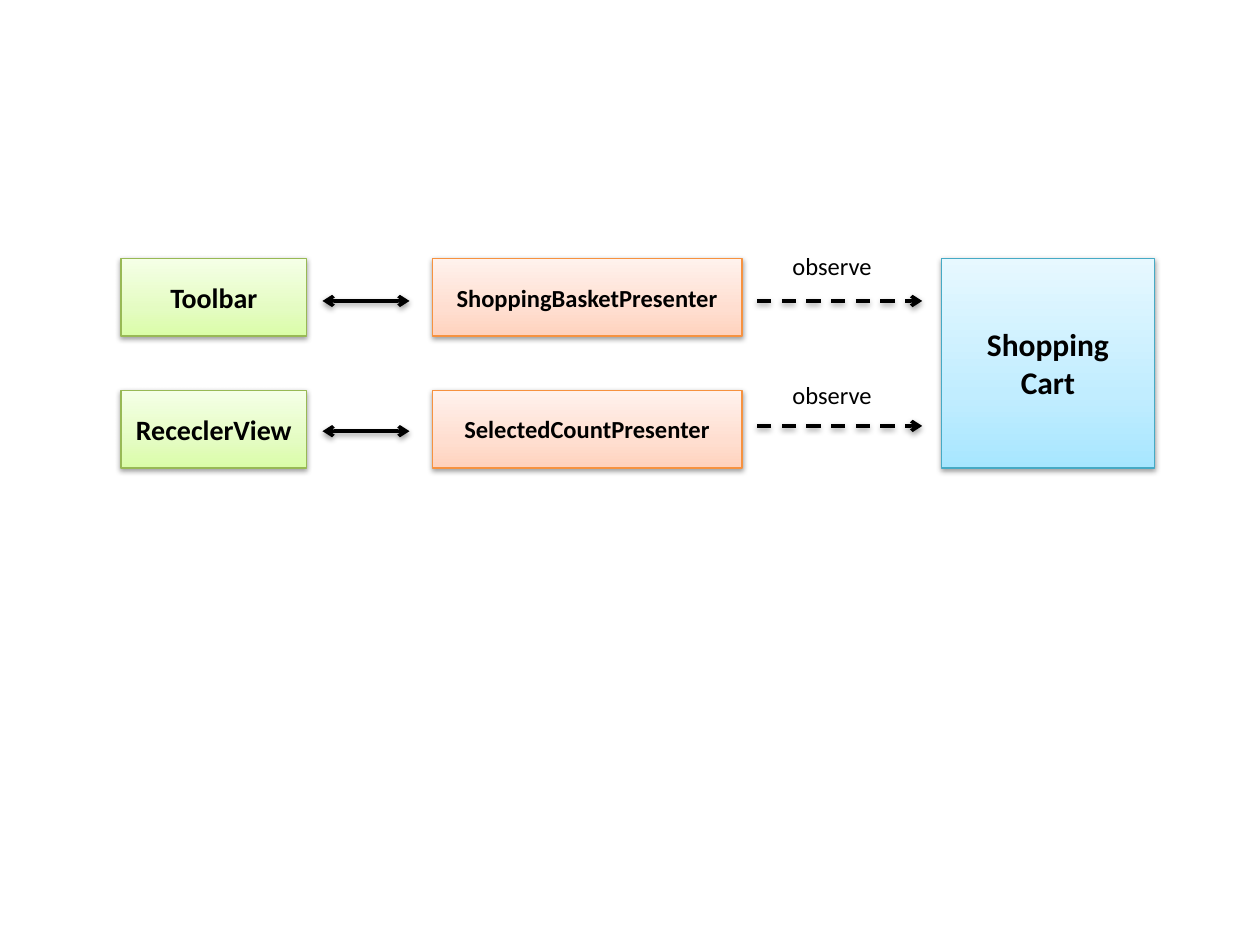
from lxml import etree
from pptx import Presentation
from pptx.dml.color import RGBColor
from pptx.enum.dml import MSO_LINE
from pptx.enum.shapes import MSO_CONNECTOR, MSO_SHAPE
from pptx.enum.text import MSO_ANCHOR, MSO_AUTO_SIZE, PP_ALIGN
from pptx.oxml.ns import qn
from pptx.util import Pt

RECTANGLE, STRAIGHT = MSO_SHAPE.RECTANGLE, MSO_CONNECTOR.STRAIGHT
DASH, MIDDLE, CENTER = MSO_LINE.DASH, MSO_ANCHOR.MIDDLE, PP_ALIGN.CENTER
FIT_SHAPE = MSO_AUTO_SIZE.SHAPE_TO_FIT_TEXT
FONT = "Calibri"

# Content: each row runs view <-> presenter -> cart
ROWS = [("Toolbar", "ShoppingBasketPresenter"),
        ("RececlerView", "SelectedCountPresenter")]
CART = ["Shopping", "Cart"]
OBSERVE = "observe"

COLORS = {"ink": "000000", "view": "98B955", "presenter": "F69240", "cart": "46AAC5"}
# Gradient stops, from the bottom edge to the top
GRADIENTS = {"view": ["DAFDA7", "E4FCC2", "F5FFE7"],
             "presenter": ["FFD2BD", "FFDED0", "FFF2ED"],
             "cart": ["A7E6FF", "C1EDFF", "E7F8FF"]}
STOPS = [0, 35, 100]

# Layout in points: column (left, width), row tops, arrow and label heights
COLUMNS = {"view": (69.2, 106), "presenter": (247, 177), "cart": (538, 121.7)}
ROW_TOP, ROW_STEP, BOX_HEIGHT = 147.6, 75.4, 44.5
SYNC_X, OBSERVE_X = (184.3, 234), (432.7, 527)
SYNC_Y, OBSERVE_Y = (172, 246.4), (172, 243.4)
LABEL_LEFT, LABEL_WIDTH, LABEL_HEIGHT = 445.7, 77.8, 24.2
LABEL_TOPS = (139.7, 213.4)

deck = Presentation()
deck.slide_width, deck.slide_height = Pt(720), Pt(540)
slide = deck.slides.add_slide(deck.slide_layouts[6])


def rgb(name):
    return RGBColor.from_string(COLORS[name])


def child(parent, tag, **attributes):
    return etree.SubElement(parent, qn(tag), attributes)


def add_shadow(properties):
    effects = child(properties, "a:effectLst")
    shadow = child(effects, "a:outerShdw", blurRad=str(Pt(3.15)), dist=str(Pt(1.57)),
                   dir="5400000", rotWithShape="0")
    color = child(shadow, "a:srgbClr", val=COLORS["ink"])
    child(color, "a:alpha", val="38000")


def write(paragraph, text, size, bold=False):
    run = paragraph.add_run()
    run.text = text
    run.font.name, run.font.size, run.font.bold = FONT, Pt(size), bold
    run.font.color.rgb = rgb("ink")


def add_box(kind, top, height, lines, size):
    left, width = COLUMNS[kind]
    box = slide.shapes.add_shape(RECTANGLE, Pt(left), Pt(top), Pt(width), Pt(height))
    box.fill.gradient()
    box.fill.gradient_angle = 90
    stops = box.element.spPr.find(".//" + qn("a:gsLst"))
    for stop in list(stops):
        stops.remove(stop)
    for position, color in zip(STOPS, GRADIENTS[kind]):
        stop = child(stops, "a:gs", pos=str(position * 1000))
        child(stop, "a:srgbClr", val=color)
    box.line.color.rgb = rgb(kind)
    box.line.width = Pt(0.75)
    add_shadow(box.element.spPr)
    frame = box.text_frame
    frame.word_wrap = True
    frame.vertical_anchor = MIDDLE
    for index, line in enumerate(lines):
        paragraph = frame.add_paragraph() if index else frame.paragraphs[0]
        paragraph.alignment = CENTER
        write(paragraph, line, size, bold=True)


def add_arrow(span, y, ends, dash=None):
    arrow = slide.shapes.add_connector(STRAIGHT, Pt(span[0]), Pt(y), Pt(span[1]), Pt(y))
    arrow.line.color.rgb = rgb("ink")
    arrow.line.width = Pt(2)
    if dash:
        arrow.line.dash_style = dash
    for end in ends:
        child(arrow.line._get_or_add_ln(), end, type="arrow")
    add_shadow(arrow.element.spPr)


def add_label(top):
    label = slide.shapes.add_textbox(Pt(LABEL_LEFT), Pt(top), Pt(LABEL_WIDTH), Pt(LABEL_HEIGHT))
    label.text_frame.word_wrap = True
    label.text_frame.auto_size = FIT_SHAPE
    write(label.text_frame.paragraphs[0], OBSERVE, 14)


# Cart spans both rows
add_box("cart", ROW_TOP, ROW_STEP + BOX_HEIGHT, CART, 18)

# View and presenter rows with their arrows
for row, (view, presenter) in enumerate(ROWS):
    top = ROW_TOP + row * ROW_STEP
    add_box("presenter", top, BOX_HEIGHT, [presenter], 14)
    add_box("view", top, BOX_HEIGHT, [view], 16)
    add_arrow(OBSERVE_X, OBSERVE_Y[row], ["a:tailEnd"], DASH)
    add_label(LABEL_TOPS[row])
    add_arrow(SYNC_X, SYNC_Y[row], ["a:headEnd", "a:tailEnd"])

deck.save("out.pptx")
